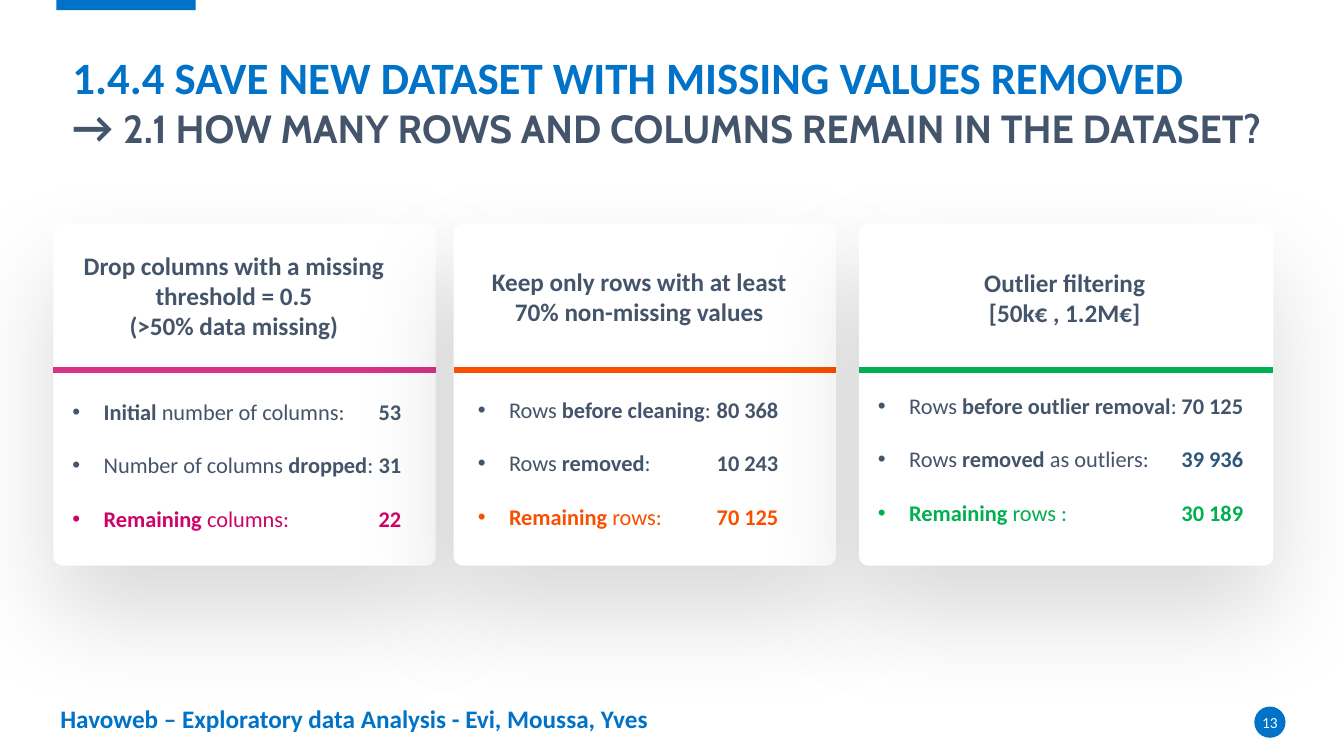
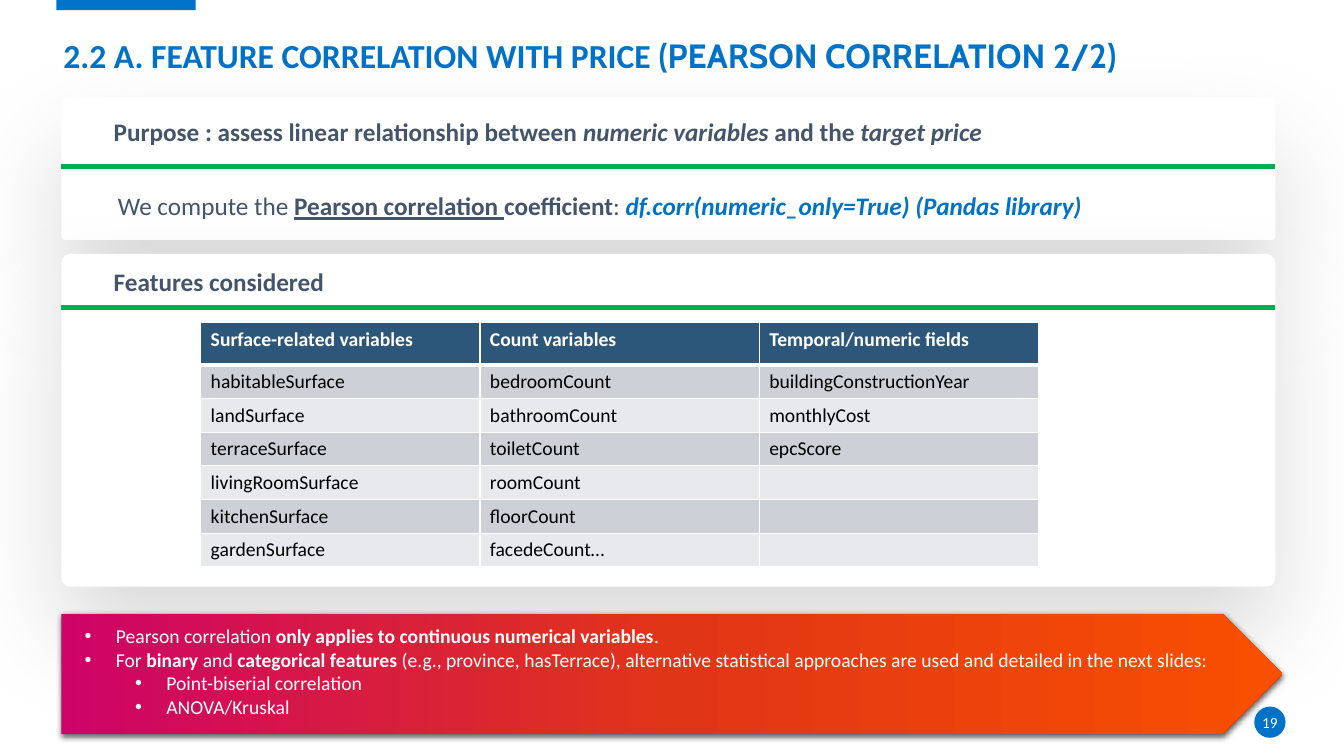
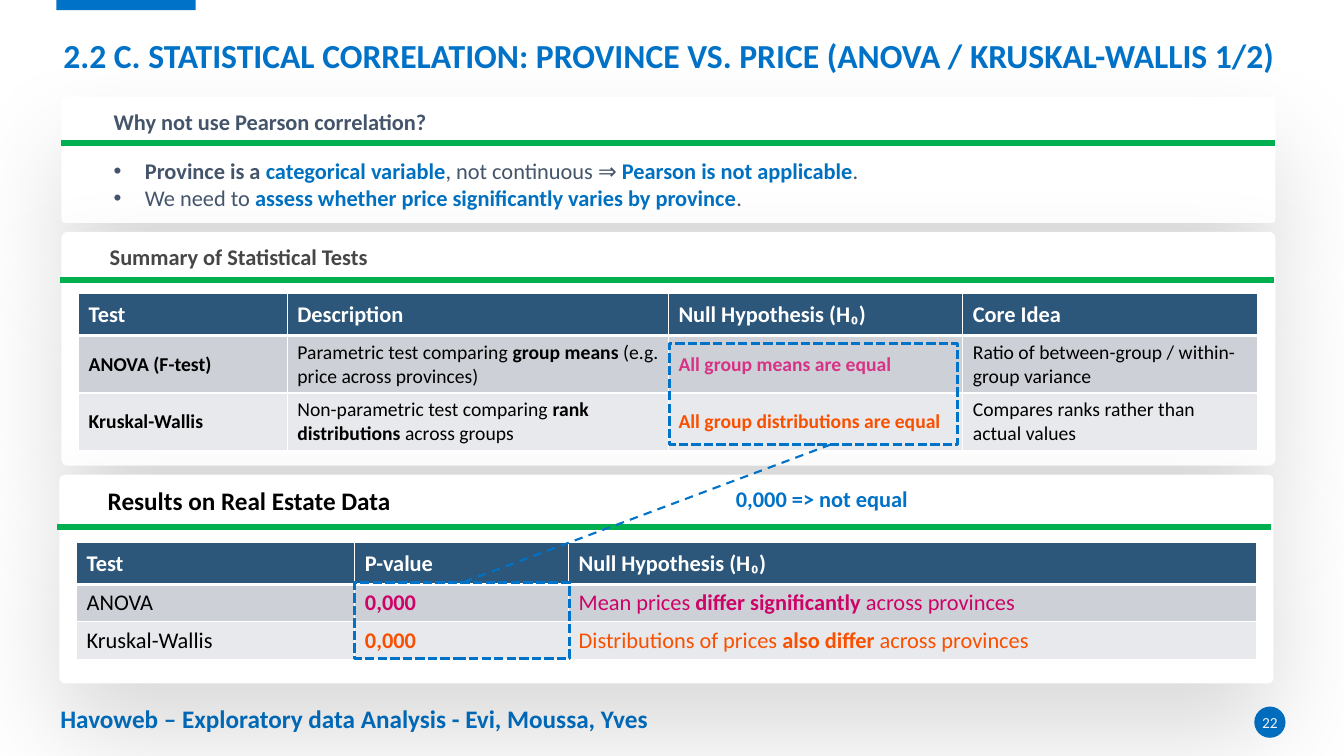
"""Builds three slides on data cleaning and feature correlation."""
from copy import deepcopy
from lxml import etree
from pptx import Presentation
from pptx.dml.color import RGBColor
from pptx.enum import dml, shapes, text
from pptx.oxml import ns
from pptx.util import Inches, Pt

hues = {
    "blue": "0072C7", "azure": "0070C0", "slate": "44546A", "navy": "2C567A",
    "rose": "D73285", "berry": "CE0368", "red": "E13518", "orange": "F94F00",
    "green": "00B050", "gray": "464646", "black": "000000", "white": "FFFFFF",
    "dark": "CDD1D7", "pale": "E8E9EC",
}
tint = {name: RGBColor.from_string(code) for name, code in hues.items()}
mid = text.MSO_ANCHOR.MIDDLE
top = text.MSO_ANCHOR.TOP
center = text.PP_ALIGN.CENTER
right = text.PP_ALIGN.RIGHT
hang = 0.31


def write(para, runs, size, look):
    """Add runs of (words, marks...), where a mark is a colour, size, font or style."""
    if isinstance(runs, str):
        runs = [(runs,)]
    for words, *marks in runs:
        run = para.add_run()
        run.text = words
        font = run.font
        font.name, font.size = "Calibri", Pt(size)
        for mark in look.split() + marks:
            if mark in tint:
                font.color.rgb = tint[mark]
            elif mark.isdigit():
                font.size = Pt(int(mark))
            elif mark == "Cabin":
                font.name = mark
            else:
                setattr(font, mark, True)


def place(slide, at, paras, size=16, look="slate", align=None, dents=(), gap=0):
    """Add a text box; dents holds the left indent of each bulleted paragraph."""
    frame = slide.shapes.add_textbox(*map(Inches, at)).text_frame
    frame.word_wrap = True
    for num, runs in enumerate(paras):
        para = frame.paragraphs[0] if num == 0 else frame.add_paragraph()
        if dents:
            props = para._p.get_or_add_pPr()
            props.set("marL", str(Inches(dents[num])))
            props.set("indent", str(Inches(-hang)))
            etree.SubElement(props, ns.qn("a:buFont"), typeface="Arial")
            etree.SubElement(props, ns.qn("a:buChar"), char="•")
        if align is not None:
            para.alignment = align
        if gap and num:
            para.space_before = Pt(gap)
        write(para, runs, size, look)
    return frame


deck = Presentation()
deck.slide_width, deck.slide_height = Inches(13.33), Inches(7.5)
shades, wires = [], []

plans = [
    {"page": "13", "foot": True, "at": (0.62, 0.5, 12.28, 1.07), "size": 32,
     "title": ["1.4.4 SAVE NEW DATASET WITH MISSING VALUES REMOVED",
               [("→ ", "slate"),
                ("2.1 HOW MANY ROWS AND COLUMNS REMAIN IN THE DATASET?",
                 "slate", "28", "Cabin")]],
     "cards": [(0.53, 2.22, 3.79, 3.39, 0.53, 3.67, "rose"),
               (4.5, 2.22, 3.79, 3.39, 4.5, 3.67, "orange"),
               (8.52, 2.22, 4.11, 3.39, 8.52, 3.67, "green")]},
    {"page": "19", "foot": False, "at": (0.53, 0.34, 12.28, 0.46), "size": 24,
     "title": [[("2.2 A. FEATURE CORRELATION WITH PRICE ",),
                ("(PEARSON CORRELATION 2/2)", "Cabin")]],
     "cards": [(0.61, 0.96, 12.04, 1.42, 0.61, 1.65, "green"),
               (0.61, 2.52, 12.04, 3.3, 0.61, 3.05, "green")]},
    {"page": "22", "foot": True, "at": (0.53, 0.34, 12.28, 0.46), "size": 24,
     "title": ["2.2 C. STATISTICAL CORRELATION: PROVINCE VS. PRICE "
               "(ANOVA / KRUSKAL-WALLIS 1/2)"],
     "cards": [(0.61, 0.96, 12.04, 1.25, 0.61, 1.42, "green"),
               (0.61, 2.3, 12.04, 2.32, 0.6, 2.78, "green"),
               (0.59, 4.71, 12.04, 2.07, 0.57, 5.23, "green")]},
]

slides = []
for plan in plans:
    slide = deck.slides.add_slide(deck.slide_layouts[6])
    slides.append(slide)
    band = slide.shapes.add_shape(
        shapes.MSO_SHAPE.RECTANGLE, *map(Inches, (0.56, 0, 1.38, 0.1)))
    dot = slide.shapes.add_shape(
        shapes.MSO_SHAPE.OVAL, *map(Inches, (12.44, 7.01, 0.31, 0.31)))
    for mark in (band, dot):
        mark.shadow.inherit = False
        mark.fill.solid()
        mark.fill.fore_color.rgb = tint["blue"]
        mark.line.fill.background()
    frame = dot.text_frame
    frame.margin_left = frame.margin_right = 0
    frame.margin_top = frame.margin_bottom = 0
    frame.word_wrap = False
    frame.vertical_anchor = mid
    frame.paragraphs[0].alignment = center
    write(frame.paragraphs[0], plan["page"], 11, "white")
    if plan["foot"]:
        place(slide, (0.5, 6.93, 7.92, 0.4),
              ["Havoweb – Exploratory data Analysis - Evi, Moussa, Yves"],
              18, "blue bold")
    frame = place(slide, plan["at"], plan["title"], plan["size"], "blue bold")
    frame.vertical_anchor = mid
    for para in frame.paragraphs:
        para.line_spacing = 0.9
    for left, high, wide, tall, start, level, hue in plan["cards"]:
        card = slide.shapes.add_shape(
            shapes.MSO_SHAPE.ROUNDED_RECTANGLE, *map(Inches, (left, high, wide, tall)))
        card.adjustments[0] = 0.026
        card.fill.solid()
        card.fill.fore_color.rgb = tint["white"]
        card.line.fill.background()
        shades.append((card, 15, 75, 35))
        rule = slide.shapes.add_connector(
            shapes.MSO_CONNECTOR.STRAIGHT,
            *map(Inches, (start, level, start + wide, level)))
        rule.line.color.rgb = tint[hue]
        rule.line.width = Pt(4)
        wires.append(rule)

clean, pearson, anova = slides

steps = [
    ((0.7, 2.43, 3.24, 1.01),
     ["Drop columns with a missing threshold = 0.5", "(>50% data missing)"],
     (0.62, 3.9, 3.51, 1.45), 3.98,
     [[("Initial", "bold"), (" number of columns:",)],
      [("Number of columns ",), ("dropped", "bold"), (":",)],
      [("Remaining", "bold", "berry"), (" columns:", "berry")]],
     [[("53",)], [("31",)], [("22", "berry")]]),
    ((4.72, 2.59, 3.24, 0.71),
     ["Keep only rows with at least 70% non-missing values"],
     (4.64, 3.88, 3.51, 1.45), 7.72,
     [[("Rows ",), ("before cleaning", "bold"), (":",)],
      [("Rows ",), ("removed", "bold"), (":",)],
      [("Remaining", "bold", "orange"), (" rows:", "orange")]],
     [[("80 368",)], [("10 243",)], [("70 125", "orange")]]),
    ((8.65, 2.6, 3.82, 0.71),
     ["Outlier filtering", "[50k€ , 1.2M€]"],
     (8.61, 3.84, 3.86, 1.45), 12.33,
     [[("Rows ",), ("before outlier removal", "bold"), (":",)],
      [("Rows ",), ("removed", "bold"), (" as outliers:",)],
      [("Remaining", "bold", "green"), (" rows :", "green")]],
     [[("70 125",)], [("39 936", "navy")], [("30 189", "green")]]),
]
for head, title, at, edge, labels, counts in steps:
    place(clean, head, title, 18, "slate bold", center)
    place(clean, at, labels, dents=[hang] * 3, gap=19)
    frame = place(clean, (edge - 0.8, at[1], 0.8, at[3]), counts,
                  look="slate bold", align=right, gap=19)
    frame.margin_left = frame.margin_right = 0

place(pearson, (1.03, 1.11, 11.24, 0.4),
      [[("Purpose : assess linear relationship between ",),
        ("numeric variables ", "italic"), ("and the ",),
        ("target price", "italic")]], 18, "slate bold")
place(pearson, (1.07, 1.84, 11.44, 0.4),
      [[("We compute the ",), ("Pearson correlation ", "bold", "underline"),
        ("coefficient", "bold"), (": ",),
        ("df.corr(numeric_only=True) (Pandas library)", "blue", "bold", "italic")]], 18)
place(pearson, (1.03, 2.59, 11.24, 0.4), ["Features considered"], 18, "slate bold")

arrow = pearson.shapes.add_shape(
    shapes.MSO_SHAPE.PENTAGON, *map(Inches, (0.61, 6.09, 12.11, 1.19)))
arrow.line.fill.background()
arrow.fill.gradient()
arrow.fill.gradient_angle = 0
ramp = arrow._element.spPr.find(".//" + ns.qn("a:gsLst"))
ramp.insert(1, deepcopy(ramp[0]))
for stop, hue, spot in zip(arrow.fill.gradient_stops, ("berry", "red", "orange"), (0, 0.5, 1)):
    stop.color.rgb = tint[hue]
    stop.position = spot
shades.append((arrow, 63, 4.5, 1.5))
frame = place(
    pearson, (0.78, 6.15, 11.9, 1.05),
    [[("Pearson correlation ",),
      ("only applies to continuous numerical variables", "bold"), (".",)],
     [("For ",), ("binary", "bold"), (" and ",), ("categorical features ", "bold"),
      ("(e.g., province, hasTerrace), alternative statistical approaches "
       "are used and detailed in the next slides:",)],
     "Point-biserial correlation", "ANOVA/Kruskal"],
    14, "white", dents=(0.33, 0.33, 0.83, 0.83))
frame.margin_left = frame.margin_right = Inches(0.04)
frame.margin_top = frame.margin_bottom = Inches(0.04)

place(anova, (1.03, 1.02, 11.24, 0.37), ["Why not use Pearson correlation?"],
      look="slate bold")
place(anova, (1.03, 1.51, 11.44, 0.64),
      [[("Province is a ", "bold"), ("categorical variable", "azure", "bold"),
        (", not continuous ⇒ ",), ("Pearson is not applicable", "azure", "bold"), (".",)],
       [("We need to ",),
        ("assess whether price significantly varies by province", "azure", "bold"),
        (".",)]], dents=[hang] * 2)
place(anova, (0.99, 2.36, 11.24, 0.37), ["Summary of Statistical Tests"],
      look="gray bold")
place(anova, (0.97, 4.77, 11.24, 0.4), ["Results on Real Estate Data"], 18, "black bold")

grids = [
    (pearson, 1.99, 3.2, (2.77, 2.77, 2.77), 0.33, 14, 14, top, [
        ["Surface-related variables", "Count variables", "Temporal/numeric fields"],
        ["habitableSurface", "bedroomCount", "buildingConstructionYear"],
        ["landSurface", "bathroomCount", "monthlyCost"],
        ["terraceSurface", "toiletCount", "epcScore"],
        ["livingRoomSurface", "roomCount", ""],
        ["kitchenSurface", "floorCount", ""],
        ["gardenSurface", "facedeCount…", ""]]),
    (anova, 0.78, 2.91, (2.07, 3.78, 2.92, 2.92), 0.57, 16, 14, mid, [
        ["Test", "Description", "Null Hypothesis (H₀)", "Core Idea"],
        [[("ANOVA (F-test)", "bold")],
         [("Parametric test comparing ",), ("group means", "bold"),
          (" (e.g. price across provinces)",)],
         [("All group means are equal", "rose", "bold")],
         "Ratio of between-group / within-group variance"],
        [[("Kruskal-Wallis", "bold")],
         [("Non-parametric test comparing ",), ("rank distributions", "bold"),
          (" across groups",)],
         [("All group distributions are equal", "orange", "bold")],
         "Compares ranks rather than actual values"]]),
    (anova, 0.76, 5.38, (2.76, 2.12, 6.82), 0.37, 16, 16, mid, [
        ["Test", "P-value", "Null Hypothesis (H₀)"],
        ["ANOVA", [("0,000", "berry", "bold")],
         [("Mean prices ", "berry"), ("differ significantly", "berry", "bold"),
          (" across provinces", "berry")]],
        ["Kruskal-Wallis", [("0,000", "orange", "bold")],
         [("Distributions of prices ", "orange"), ("also differ", "orange", "bold"),
          (" across provinces", "orange")]]]),
]
for slide, left, high, cols, tall, big, small, anchor, rows in grids:
    table = slide.shapes.add_table(
        len(rows), len(cols), Inches(left), Inches(high), Inches(sum(cols)),
        Inches(0.42 + tall * (len(rows) - 1))).table
    table.horz_banding = False
    for col, wide in zip(table.columns, cols):
        col.width = Inches(wide)
    for num, row in enumerate(rows):
        table.rows[num].height = Inches(tall if num else 0.42)
        for spot, runs in enumerate(row):
            cell = table.cell(num, spot)
            cell.vertical_anchor = anchor
            props = cell._tc.get_or_add_tcPr()
            for side in "LRTB":
                thick = (num, side) in ((0, "B"), (1, "T"))
                edge = etree.SubElement(
                    props, ns.qn("a:ln" + side), w=str(Pt(3 if thick else 1)))
                paint = etree.SubElement(edge, ns.qn("a:solidFill"))
                etree.SubElement(paint, ns.qn("a:srgbClr"), val=hues["white"])
            cell.fill.solid()
            shade = ("pale", "dark")[num % 2] if num else "navy"
            cell.fill.fore_color.rgb = tint[shade]
            para = cell.text_frame.paragraphs[0]
            if runs:
                write(para, runs, small if num else big, "black" if num else "white bold")
            else:
                etree.SubElement(para._p, ns.qn("a:endParaRPr"), sz=str(small * 100))

frames = []
for at in ((6.64, 3.41, 2.86, 1), (3.52, 5.78, 2.13, 0.75)):
    dash = anova.shapes.add_shape(shapes.MSO_SHAPE.RECTANGLE, *map(Inches, at))
    dash.shadow.inherit = False
    dash.fill.background()
    dash.line.color.rgb = tint["blue"]
    dash.line.width = Pt(2.25)
    dash.line.dash_style = dml.MSO_LINE.SQUARE_DOT
    frames.append(dash)
link = anova.shapes.add_connector(
    shapes.MSO_CONNECTOR.STRAIGHT, *map(Inches, (8.24, 4.41, 4.59, 5.78)))
link.end_connect(frames[1], 0)
link.line.color.rgb = tint["blue"]
link.line.width = Pt(1.5)
link.line.dash_style = dml.MSO_LINE.DASH
wires.append(link)
place(anova, (7.2, 4.76, 5.16, 0.37), ["0,000 => not equal"], look="blue bold")

for shape, alpha, blur, dist in shades:
    shape.shadow.inherit = False
    cast = etree.SubElement(
        shape._element.spPr.find(ns.qn("a:effectLst")), ns.qn("a:outerShdw"),
        blurRad=str(Pt(blur)), dist=str(Pt(dist)), dir="5400000",
        algn="t", rotWithShape="0")
    ink = etree.SubElement(cast, ns.qn("a:srgbClr"), val=hues["black"])
    etree.SubElement(ink, ns.qn("a:alpha"), val=str(alpha * 1000))
for wire in wires:
    etree.SubElement(wire._element.spPr, ns.qn("a:effectLst"))

deck.save("out.pptx")
